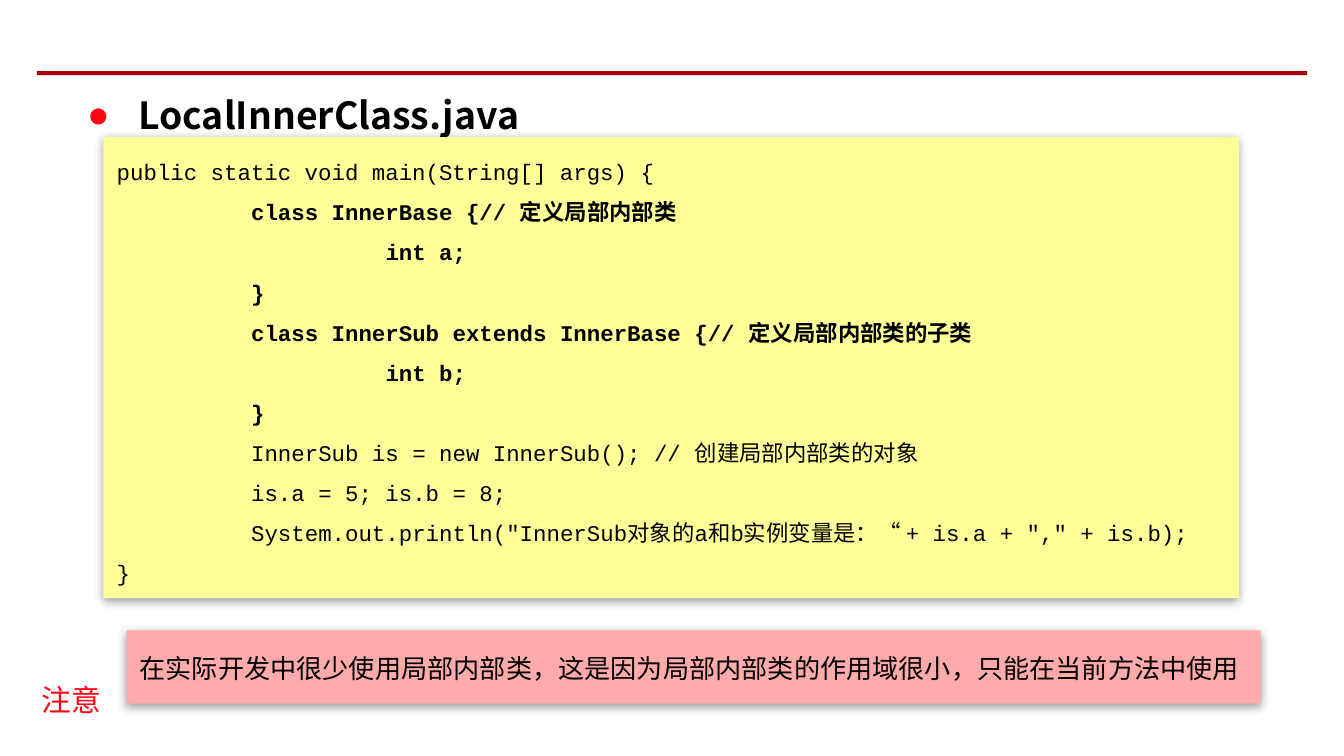
import pptx
import pptx.dml.color
import pptx.enum.shapes
import pptx.enum.text
import pptx.oxml
import pptx.oxml.ns
import pptx.util

WIDTH = 10  # inches; places below are percentages of width and height
HEIGHT = WIDTH * 9 / 16
COLORS = {"rule": "AA000B", "red": "FF0517", "code": "FFFF99",
          "note": "FFAAAB", "text": "000000"}
CJK_FONT, CODE_FONT, BULLET_FONT = "Noto Sans CJK SC", "Courier New", "Arial"
NAMESPACE = pptx.oxml.ns.nsdecls("a")

presentation = pptx.Presentation()
presentation.slide_width = pptx.util.Inches(WIDTH)
presentation.slide_height = pptx.util.Inches(HEIGHT)
slide = presentation.slides.add_slide(presentation.slide_layouts[6])


def add_box(left, top, width, height, fill=None, shadow=False):
    """Add a rectangle, with or without fill, placed in percent of the slide."""
    shape = slide.shapes.add_shape(
        pptx.enum.shapes.MSO_SHAPE.RECTANGLE,
        pptx.util.Inches(WIDTH * left / 100), pptx.util.Inches(HEIGHT * top / 100),
        pptx.util.Inches(WIDTH * width / 100), pptx.util.Inches(HEIGHT * height / 100))
    shape.shadow.inherit = False
    shape.line.fill.background()
    if fill:
        shape.fill.solid()
        shape.fill.fore_color.rgb = pptx.dml.color.RGBColor.from_string(COLORS[fill])
    else:
        shape.fill.background()
    if shadow:
        effects = shape._element.spPr.find(pptx.oxml.ns.qn("a:effectLst"))
        effects.append(pptx.oxml.parse_xml(
            f'<a:outerShdw {NAMESPACE} blurRad="{pptx.util.Pt(5)}" dist="{pptx.util.Pt(1.6)}" '
            f'dir="5400000" rotWithShape="0"><a:srgbClr val="{COLORS["text"]}">'
            '<a:alpha val="38000"/></a:srgbClr></a:outerShdw>'))
    return shape


def write(shape, text, size, font=CJK_FONT, color="text", spacing=1.5):
    """Fill a shape with left-aligned text that starts at its top."""
    text_frame = shape.text_frame
    text_frame.text = text
    text_frame.word_wrap = True
    text_frame.vertical_anchor = pptx.enum.text.MSO_ANCHOR.TOP
    for paragraph in text_frame.paragraphs:
        paragraph.alignment = pptx.enum.text.PP_ALIGN.LEFT
        paragraph.line_spacing = spacing
        for run in paragraph.runs:
            run.font.size = pptx.util.Pt(size)
            run.font.name = font
            run.font.color.rgb = pptx.dml.color.RGBColor.from_string(COLORS[color])
            run.font._element.find(pptx.oxml.ns.qn("a:latin")).addnext(
                pptx.oxml.parse_xml(f'<a:ea {NAMESPACE} typeface="{CJK_FONT}"/>'))
    return text_frame


# Rule across the top
add_box(2.75, 9.43, 94.5, 0.53, "rule")

# Bulleted file name
heading = write(add_box(5.5, 8.36, 89.8, 45.87), "LocalInnerClass.java", 20).paragraphs[0]
heading.runs[0].font.bold = True
properties = heading._p.get_or_add_pPr()
properties.set("marL", str(pptx.util.Inches(0.38)))
properties.set("indent", str(-pptx.util.Inches(0.38)))
for bullet in (f'<a:buClr {NAMESPACE}><a:srgbClr val="{COLORS["red"]}"/></a:buClr>',
               f'<a:buFont {NAMESPACE} typeface="{BULLET_FONT}"/>',
               f'<a:buChar {NAMESPACE} char="●"/>'):
    properties.append(pptx.oxml.parse_xml(bullet))

# Note under the code
write(add_box(9.4, 83.38, 84.4, 9.7, "note", shadow=True),
      "在实际开发中很少使用局部内部类，这是因为局部内部类的作用域很小，只能在当前方法中使用", 14)

# Code listing, with the inner classes in bold and one tab stop per inch
code_lines = [
    "public static void main(String[] args) {\t",
    "\tclass InnerBase {// 定义局部内部类",
    "\t\tint a;",
    "\t}\t",
    "\tclass InnerSub extends InnerBase {// 定义局部内部类的子类",
    "\t\tint b;",
    "\t}\t",
    "\tInnerSub is = new InnerSub(); // 创建局部内部类的对象",
    "\tis.a = 5; is.b = 8;",
    "\tSystem.out.println(\"InnerSub对象的a和b实例变量是：“ + is.a + \",\" + is.b);",
    "}",
]
code = write(add_box(7.7, 18.13, 84.5, 60.98, "code", shadow=True),
             "\n".join(code_lines), 12, CODE_FONT, spacing=pptx.util.Pt(21.5))
code.margin_top = pptx.util.Inches(0.06)
tab_stops = "".join(f'<a:tab pos="{pptx.util.Inches(inch)}" algn="l"/>' for inch in range(1, 6))
for number, paragraph in enumerate(code.paragraphs):
    paragraph._p.get_or_add_pPr().append(
        pptx.oxml.parse_xml(f'<a:tabLst {NAMESPACE}>{tab_stops}</a:tabLst>'))
    for run in paragraph.runs:
        run.font.bold = 1 <= number <= 6

# Label beside the note
label = write(add_box(2.1, 89.24, 6.5, 6.58), "注意", 16, color="red", spacing=1.0)
label.word_wrap = False

presentation.save("out.pptx")
